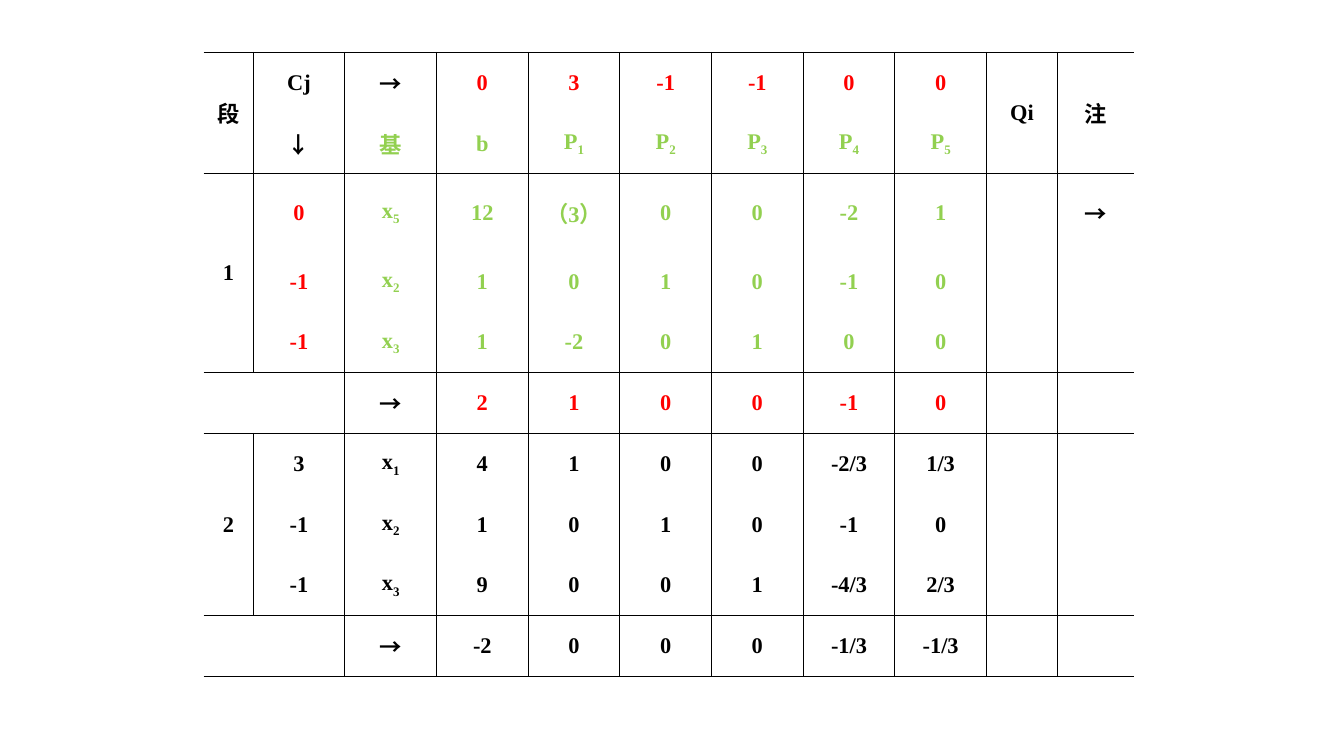
from itertools import groupby

from lxml import etree
from pptx import Presentation
from pptx.dml.color import RGBColor
from pptx.enum.text import MSO_ANCHOR, PP_ALIGN
from pptx.oxml.ns import qn
from pptx.util import Cm, Pt

CENTER = PP_ALIGN.CENTER
MIDDLE = MSO_ANCHOR.MIDDLE
COLORS = {"black": "000000", "red": "FF0000", "green": "92D050"}
LATIN, CJK = "Times New Roman", "Noto Sans CJK SC"

# "_" puts the character after it in subscript
ROWS = [
    ["段", "Cj", "→", "0", "3", "-1", "-1", "0", "0", "Qi", "注"],
    ["", "↓", "基", "b", "P_1", "P_2", "P_3", "P_4", "P_5", "", ""],
    ["1", "0", "x_5", "12", "（3）", "0", "0", "-2", "1", "", "→"],
    ["", "-1", "x_2", "1", "0", "1", "0", "-1", "0", "", ""],
    ["", "-1", "x_3", "1", "-2", "0", "1", "0", "0", "", ""],
    ["", "", "→", "2", "1", "0", "0", "-1", "0", "", ""],
    ["2", "3", "x_1", "4", "1", "0", "0", "-2/3", "1/3", "", ""],
    ["", "-1", "x_2", "1", "0", "1", "0", "-1", "0", "", ""],
    ["", "-1", "x_3", "9", "0", "0", "1", "-4/3", "2/3", "", ""],
    ["", "", "→", "-2", "0", "0", "0", "-1/3", "-1/3", "", ""],
]
COL_WIDTHS = [1.25] + [2.31] * 8 + [1.79, 1.93]
ROW_HEIGHTS = [1.53] * 2 + [1.95] + [1.53] * 7

# Row bands between horizontal rules, and merged blocks (row, col, row, col)
BAND_STARTS, BAND_ENDS = {0, 2, 5, 6, 9}, {1, 4, 5, 8, 9}
TOTAL_ROWS = {5, 9}
MERGES = [(0, 0, 1, 0), (0, 9, 1, 9), (0, 10, 1, 10),
          (2, 0, 4, 0), (2, 9, 4, 9), (5, 0, 5, 1),
          (6, 0, 8, 0), (6, 9, 8, 9), (6, 10, 8, 10), (9, 0, 9, 1)]


def text_color(row, col):
    if row in (0, 5) and 3 <= col <= 8 or 2 <= row <= 4 and col == 1:
        return "red"
    if 1 <= row <= 4 and 2 <= col <= 8:
        return "green"
    return "black"


def add_run(p, text, color="black", size=16, bold=True, subscript=False):
    r = p.add_run()
    r.text = text
    r.font.size, r.font.bold = Pt(size), bold
    r.font.color.rgb = RGBColor.from_string(COLORS[color])
    r.font.name = CJK if ord(text[0]) > 0x2000 else LATIN
    rPr = r.font._element
    etree.SubElement(rPr, qn("a:ea")).set("typeface", r.font.name)
    if subscript:
        rPr.set("baseline", "-25000")


def write_cell(cell, text, color):
    cell.vertical_anchor = MIDDLE
    p = cell.text_frame.paragraphs[0]
    p.alignment = CENTER
    pPr = p._p.get_or_add_pPr()
    pPr.set("marL", str(Cm(0.95)))
    pPr.set("indent", str(-Cm(0.95)))
    base, _, index = text.partition("_")
    for _, chars in groupby(base, key=lambda ch: ord(ch) > 0x2000):
        add_run(p, "".join(chars), color)
    if index:
        add_run(p, index, color, subscript=True)


def set_borders(cell, **sides):
    tcPr = cell._tc.get_or_add_tcPr()
    for side, visible in sides.items():
        ln = etree.SubElement(tcPr, qn(f"a:ln{side}"), w=str(Pt(1)))
        if visible:
            fill = etree.SubElement(ln, qn("a:solidFill"))
            etree.SubElement(fill, qn("a:srgbClr"), val=COLORS["black"])
        else:
            etree.SubElement(ln, qn("a:noFill"))


def add_simplex_table(s):
    table = s.shapes.add_table(len(ROWS), len(COL_WIDTHS), Cm(5.13), Cm(1.32),
                               Cm(sum(COL_WIDTHS)), Cm(sum(ROW_HEIGHTS))).table
    table.first_row = table.horz_banding = False
    for column, width in zip(table.columns, COL_WIDTHS):
        column.width = Cm(width)
    for row, height in zip(table.rows, ROW_HEIGHTS):
        row.height = Cm(height)
    for top, left, bottom, right in MERGES:
        table.cell(top, left).merge(table.cell(bottom, right))

    last_col = len(COL_WIDTHS) - 1
    for i, row in enumerate(ROWS):
        for j, text in enumerate(row):
            cell = table.cell(i, j)
            write_cell(cell, text, text_color(i, j))
            set_borders(cell,
                        L=j > 0 and not (i in TOTAL_ROWS and j == 1),
                        R=j < last_col,
                        T=i in BAND_STARTS,
                        B=i + cell.span_height - 1 in BAND_ENDS)
            cell.fill.background()


def main():
    prs = Presentation()
    prs.slide_width, prs.slide_height = Cm(33.87), Cm(19.05)
    s = prs.slides.add_slide(prs.slide_layouts[6])
    add_simplex_table(s)
    prs.save("out.pptx")


if __name__ == "__main__":
    main()
